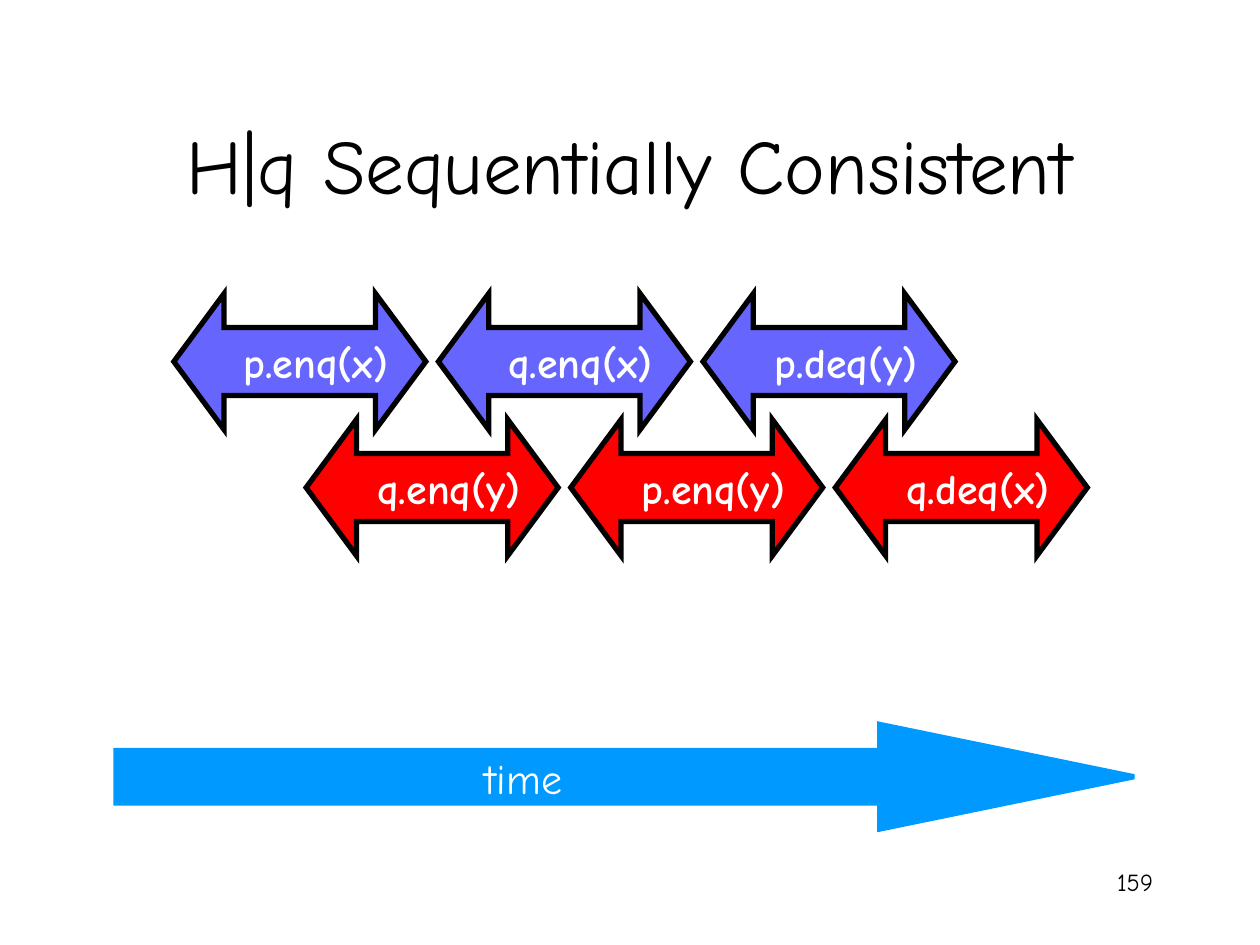
from lxml.etree import SubElement
from pptx import Presentation
from pptx.dml.color import RGBColor
from pptx.enum.shapes import MSO_SHAPE
from pptx.enum.text import MSO_ANCHOR, PP_ALIGN
from pptx.oxml.ns import qn
from pptx.util import Inches, Pt

COLORS = {
    "text": "000000",
    "outline": "000000",
    "label": "FFFFFF",
    "first_thread": "6666FF",
    "second_thread": "FF0000",
    "time": "0099FF",
}


class SlideBuilder:
    font_name = "Comic Neue"
    line_width = Pt(3)

    def __init__(self, slide):
        self.slide = slide

    def color(self, name):
        return RGBColor.from_string(COLORS[name])

    def set_label(self, shape, text, size, color, align=PP_ALIGN.RIGHT,
                  anchor=MSO_ANCHOR.TOP, wrap=True, bold=False):
        frame = shape.text_frame
        frame.text = text
        frame.word_wrap = wrap
        frame.vertical_anchor = anchor
        para = frame.paragraphs[0]
        para.alignment = align
        font = para.runs[0].font
        font.name = self.font_name
        font.size = Pt(size)
        font.bold = bold
        font.color.rgb = self.color(color)

    def text(self, left, top, width, height, text, size, color="text", **style):
        box = self.slide.shapes.add_textbox(
            Inches(left), Inches(top), Inches(width), Inches(height))
        self.set_label(box, text, size, color, **style)

    def arrow(self, kind, left, top, width, height, head, fill, line):
        shape = self.slide.shapes.add_shape(
            kind, Inches(left), Inches(top), Inches(width), Inches(height))
        shape.adjustments[0] = 0.5
        shape.adjustments[1] = head
        shape.shadow.inherit = False
        shape.fill.solid()
        shape.fill.fore_color.rgb = self.color(fill)
        shape.line.color.rgb = self.color(line)
        shape.line.width = self.line_width
        outline = shape.element.spPr.find(qn("a:ln"))
        SubElement(outline, qn("a:miter"), lim="800000")
        return shape

    def call(self, left, top, text, fill):
        shape = self.arrow(MSO_SHAPE.LEFT_RIGHT_ARROW, left, top, 2, 1.08,
                           0.37, fill, "outline")
        self.set_label(shape, text, 24, "label", anchor=MSO_ANCHOR.MIDDLE,
                       wrap=False, bold=True)


def main():
    deck = Presentation()
    deck.slide_width = Inches(10)
    deck.slide_height = Inches(7.5)
    page = SlideBuilder(deck.slides.add_slide(deck.slide_layouts[6]))

    page.text(7.17, 6.83, 2.08, 0.5, "159", 14)
    page.text(0.75, 0.67, 8.5, 1.25, "H|q Sequentially Consistent", 44,
              align=PP_ALIGN.CENTER, anchor=MSO_ANCHOR.MIDDLE)

    threads = [
        (1.38, 2.33, "first_thread", ["p.enq(x)", "q.enq(x)", "p.deq(y)"]),
        (2.43, 3.33, "second_thread", ["q.enq(y)", "p.enq(y)", "q.deq(x)"]),
    ]
    call_step = 2.1
    for left, top, fill, calls in threads:
        for index, call in enumerate(calls):
            page.call(left + index * call_step, top, call, fill)

    page.arrow(MSO_SHAPE.RIGHT_ARROW, 0.92, 5.75, 8.08, 0.83, 2.43, "time", "time")
    page.text(3.67, 5.92, 0.89, 0.5, "time", 24, "label", wrap=False)

    deck.save("out.pptx")


if __name__ == "__main__":
    main()
